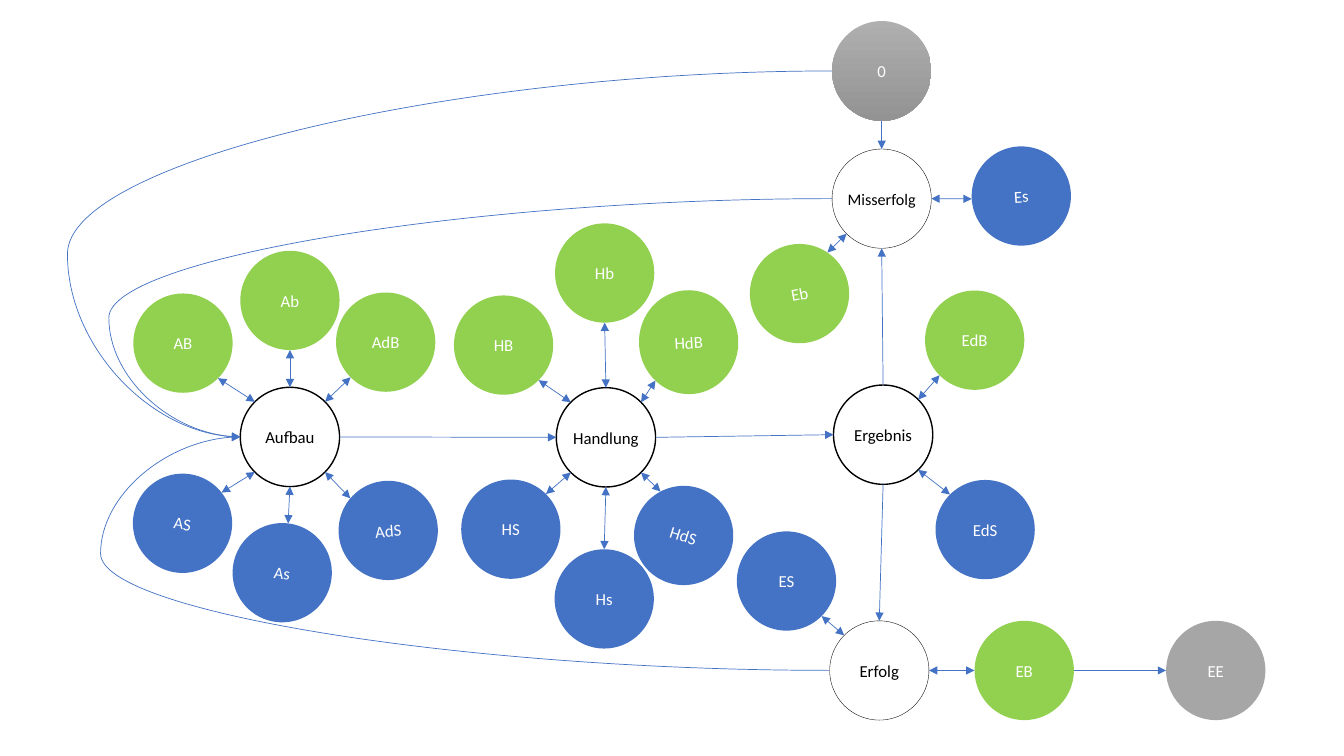
from enum import IntEnum
from math import cos, radians, sin

from lxml.etree import SubElement
from pptx import Presentation
from pptx.dml.color import RGBColor
from pptx.enum.shapes import MSO_CONNECTOR, MSO_SHAPE
from pptx.enum.text import MSO_ANCHOR, PP_ALIGN
from pptx.oxml.ns import qn
from pptx.util import Pt

WHITE = RGBColor(0xFF, 0xFF, 0xFF)
BLACK = RGBColor(0, 0, 0)
BLUE = RGBColor(0x44, 0x72, 0xC4)
GREEN = RGBColor(0x92, 0xD0, 0x50)
GREY = RGBColor(0xA6, 0xA6, 0xA6)
LIGHT_GREY = RGBColor(0xAF, 0xAF, 0xAF)
DARK_GREY = RGBColor(0x93, 0x93, 0x93)

DIAMETER = 70.9


class Site(IntEnum):
    """Connection sites of a circle, counted anticlockwise from the top."""
    TOP = 0
    TOP_LEFT = 1
    LEFT = 2
    BOTTOM_LEFT = 3
    BOTTOM = 4
    BOTTOM_RIGHT = 5
    RIGHT = 6
    TOP_RIGHT = 7


# name: centre x, centre y, line width, text size
PHASES = {
    "Aufbau": (207.1, 312.1, 1, 12),
    "Handlung": (432.8, 312.4, 1, 12),
    "Ergebnis": (630.8, 310.5, 1, 12),
    "Misserfolg": (629.8, 141.9, 0.25, 11.5),
    "Erfolg": (628.1, 478.9, 0.25, 12),
}

# name, centre x, centre y, rotation, fill, phase, side of the phase it sits on
STATES = [
    ("AB", 130.7, 245.1, 0, GREEN, "Aufbau", Site.TOP_LEFT),
    ("Ab", 207.1, 214.6, 0, GREEN, "Aufbau", Site.TOP),
    ("AdB", 275.5, 244.4, 0, GREEN, "Aufbau", Site.TOP_RIGHT),
    ("AS", 130.4, 373.8, 6.8, BLUE, "Aufbau", Site.BOTTOM_LEFT),
    ("As", 201.6, 409.1, 6.8, BLUE, "Aufbau", Site.BOTTOM),
    ("AdS", 277.3, 378.9, 355.3, BLUE, "Aufbau", Site.BOTTOM_RIGHT),
    ("HB", 359.7, 246.5, 0, GREEN, "Handlung", Site.TOP_LEFT),
    ("Hb", 431.9, 195, 0, GREEN, "Handlung", Site.TOP),
    ("HdB", 491.9, 244.4, 357.1, GREEN, "Handlung", Site.TOP_RIGHT),
    ("HS", 364.9, 378, 0, BLUE, "Handlung", Site.BOTTOM_LEFT),
    ("Hs", 431.6, 427.8, 0, BLUE, "Handlung", Site.BOTTOM),
    ("HdS", 488.3, 382.5, 17.3, BLUE, "Handlung", Site.BOTTOM_RIGHT),
    ("EdB", 696.2, 243, 0, GREEN, "Ergebnis", Site.TOP_RIGHT),
    ("EdS", 703.7, 378.3, 0, BLUE, "Ergebnis", Site.BOTTOM_RIGHT),
    ("Eb", 571.1, 209.7, 349.2, GREEN, "Misserfolg", Site.BOTTOM_LEFT),
    ("Es", 729.5, 140, 356.6, BLUE, "Misserfolg", Site.RIGHT),
    ("ES", 561.8, 415, 0, BLUE, "Erfolg", Site.TOP_LEFT),
    ("EB", 731.6, 478.9, 0, GREEN, "Erfolg", Site.RIGHT),
]

# start, side it leaves from, end
TRANSITIONS = [
    ("0", Site.BOTTOM, "Misserfolg"),
    ("Aufbau", Site.RIGHT, "Handlung"),
    ("Handlung", Site.RIGHT, "Ergebnis"),
    ("Ergebnis", Site.TOP, "Misserfolg"),
    ("Ergebnis", Site.BOTTOM, "Erfolg"),
    ("EB", Site.RIGHT, "EE"),
]

# start, x of the outermost point before returning to Aufbau
RETURNS = [("Misserfolg", 77.6), ("Erfolg", 72), ("0", 48.2)]


def write_text(shape, text, size=12, color=WHITE, font="Calibri"):
    frame = shape.text_frame
    frame.margin_left = frame.margin_right = 0
    frame.margin_top = frame.margin_bottom = 0
    frame.vertical_anchor = MSO_ANCHOR.MIDDLE
    frame.word_wrap = True
    para = frame.paragraphs[0]
    para.alignment = PP_ALIGN.CENTER
    span = para.add_run()
    span.text = text
    span.font.name = font
    span.font.size = Pt(size)
    span.font.color.rgb = color


def add_circle(page, text, x, y, fill, rotation=0, height=DIAMETER,
               line_width=None, **text_format):
    circle = page.shapes.add_shape(
        MSO_SHAPE.FLOWCHART_CONNECTOR, Pt(x - DIAMETER / 2),
        Pt(y - height / 2), Pt(DIAMETER), Pt(height))
    circle.rotation = rotation
    circle.shadow.inherit = False
    circle.fill.solid()
    circle.fill.fore_color.rgb = fill
    if line_width:
        circle.line.color.rgb = BLACK
        circle.line.width = Pt(line_width)
    else:
        circle.line.fill.background()
    write_text(circle, text, **text_format)
    return circle


def shade(circle, top, bottom):
    circle.fill.gradient()
    circle.fill.gradient_angle = 270
    for stop, color in zip(circle.fill.gradient_stops, (top, bottom)):
        stop.color.rgb = color


def site_point(circle, site):
    """Place of a connection site, with the circle's rotation applied."""
    across = -sin(radians(45 * site)) * circle.width / 2
    down = -cos(radians(45 * site)) * circle.height / 2
    turn = radians(circle.rotation)
    x = circle.left + circle.width / 2 + across * cos(turn) - down * sin(turn)
    y = circle.top + circle.height / 2 + across * sin(turn) + down * cos(turn)
    return round(x), round(y)


def add_link(page, kind, start, start_site, end, end_site, both_ways=False):
    """Arrow glued to the eight-site circles, which begin_connect cannot do."""
    link = page.shapes.add_connector(
        kind, *site_point(start, start_site), *site_point(end, end_site))
    link.line.color.rgb = BLUE
    link.line.width = Pt(0.5)
    glue = link.element.nvCxnSpPr.cNvCxnSpPr
    for tag, circle, site in (("a:stCxn", start, start_site),
                              ("a:endCxn", end, end_site)):
        SubElement(glue, qn(tag), id=str(circle.shape_id), idx=str(int(site)))
    properties = link.element.spPr
    outline = properties.find(qn("a:ln"))
    if both_ways:
        SubElement(outline, qn("a:headEnd"), type="triangle")
    SubElement(outline, qn("a:tailEnd"), type="triangle")
    SubElement(properties, qn("a:effectLst"))
    return link


def add_straight(page, start, site, end, both_ways=False):
    """Straight arrow that arrives on the side opposite to the one it leaves."""
    add_link(page, MSO_CONNECTOR.STRAIGHT, start, site, end, (site + 4) % 8,
             both_ways)


def add_return(page, start, end, outer_x):
    curve = add_link(page, MSO_CONNECTOR.CURVE, start, Site.LEFT, end, Site.LEFT)
    bend = (curve.begin_x - Pt(outer_x)) / (curve.begin_x - curve.end_x)
    guides = curve.element.spPr.find(qn("a:prstGeom")).get_or_add_avLst()
    SubElement(guides, qn("a:gd"), name="adj1", fmla=f"val {round(bend * 100000)}")


def main():
    deck = Presentation()
    deck.slide_width, deck.slide_height = Pt(960), Pt(540)
    page = deck.slides.add_slide(deck.slide_layouts[6])

    circles = {
        "0": add_circle(page, "0", 629.8, 50.7, GREY, height=71.3),
        "EE": add_circle(page, "EE", 868.4, 478.9, GREY),
    }
    shade(circles["0"], LIGHT_GREY, DARK_GREY)
    for name, (x, y, line_width, size) in PHASES.items():
        circles[name] = add_circle(page, name, x, y, WHITE, size=size,
                                   line_width=line_width, color=BLACK)
    for name, x, y, rotation, fill, phase, side in STATES:
        height = 74.2 if name == "HdB" else DIAMETER
        circles[name] = add_circle(page, name, x, y, fill, rotation, height)
        add_straight(page, circles[phase], side, circles[name], both_ways=True)
    for start, side, end in TRANSITIONS:
        add_straight(page, circles[start], side, circles[end])
    for start, outer_x in RETURNS:
        add_return(page, circles[start], circles["Aufbau"], outer_x)

    deck.save("out.pptx")


if __name__ == "__main__":
    main()
